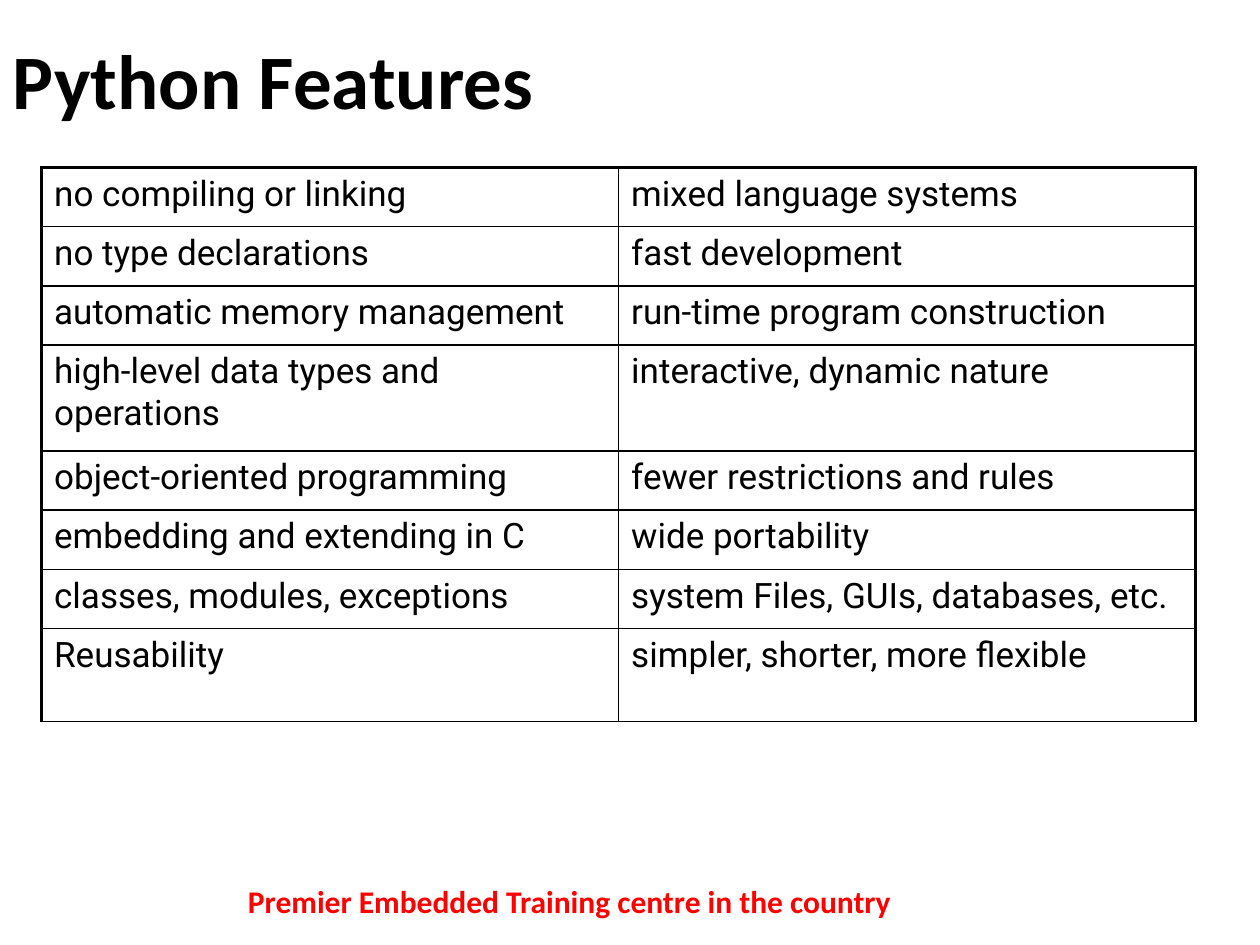
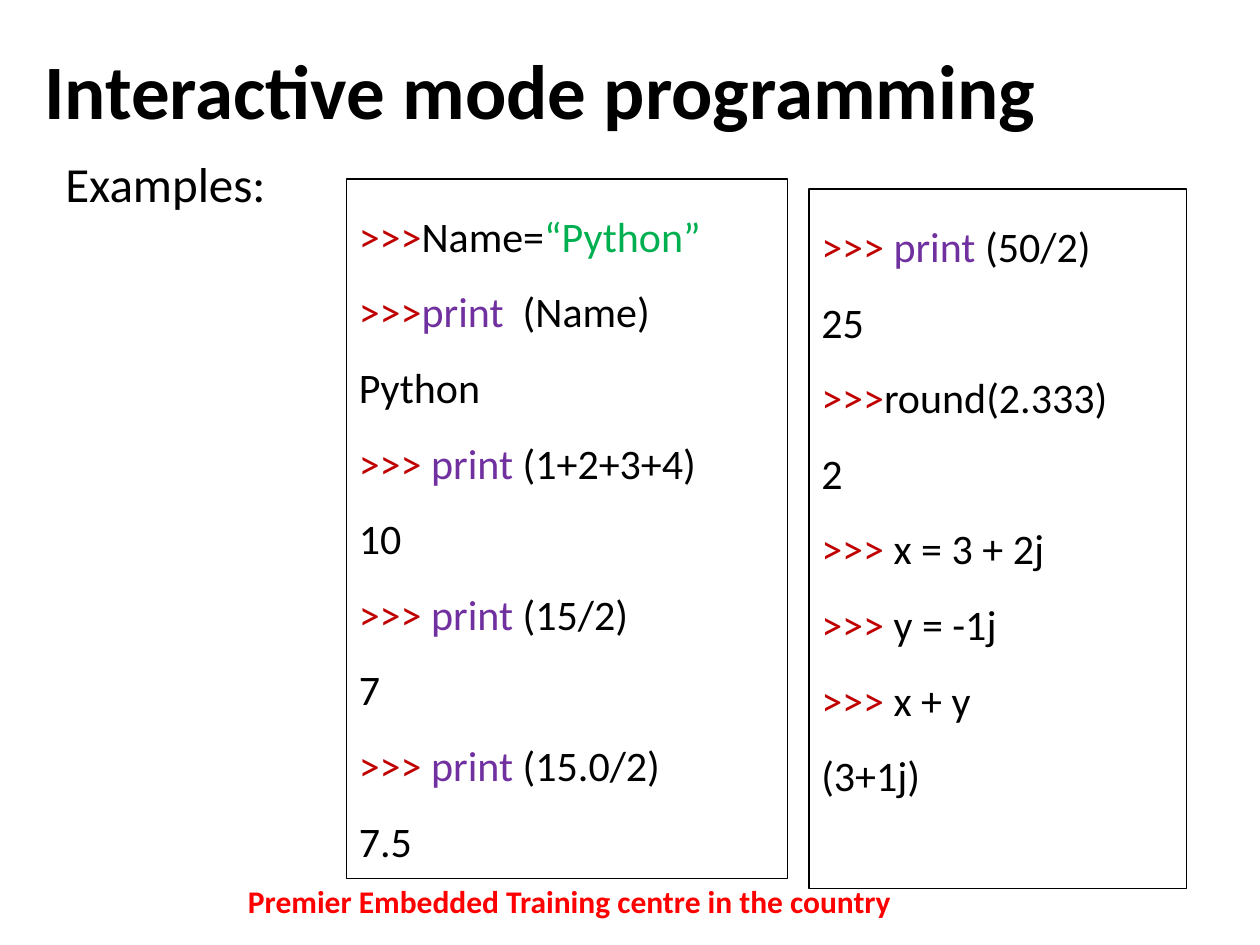
"""Builds two Python training slides: a feature table and interactive examples."""
from lxml.etree import SubElement
from pptx import Presentation
from pptx.dml.color import RGBColor
from pptx.enum.shapes import MSO_SHAPE
from pptx.enum.text import MSO_ANCHOR, PP_ALIGN
from pptx.oxml.ns import qn
from pptx.util import Emu, Pt

COLORS = {"black": "000000", "footer": "FF0000", "prompt": "C00000",
          "keyword": "7030A0", "string": "00B050"}
TOKENS = {">>>": "prompt", "print": "keyword", "“Python”": "string"}
FOOTER = "Premier Embedded Training centre in the country"
THIN, THICK = 1, 2.25

FEATURES = [
    ("no compiling or linking", "mixed language systems"),
    ("no type declarations", "fast development"),
    ("automatic memory management", "run-time program construction"),
    ("high-level data types and operations", "interactive, dynamic nature"),
    ("object-oriented programming", "fewer restrictions and rules"),
    ("embedding and extending in C", "wide portability"),
    ("classes, modules, exceptions", "system Files, GUIs, databases, etc."),
    ("Reusability", "simpler, shorter, more flexible"),
]
PRINT_EXAMPLES = [
    ">>>|Name=|“Python”", ">>>|print|  (Name)", "Python",
    ">>> |print| (1+2+3+4)", "10", ">>> |print| (15/2)", "7",
    ">>> |print| (15.0/2)", "7.5",
]
NUMBER_EXAMPLES = [
    ">>> |print| (50/2)", "25", ">>>|round(2.333)", "2",
    ">>>| x = 3 + 2j", ">>>| y = -1j", ">>>| x + y", "(3+1j)",
]


def px(n):
    return Emu(n * 9144)


def rgb(name):
    return RGBColor.from_string(COLORS[name])


class Deck:
    def __init__(self):
        self.prs = Presentation()
        self.prs.slide_width, self.prs.slide_height = px(1000), px(750)
        self.slide = None

    def new_slide(self, title, x, y):
        self.slide = self.prs.slides.add_slide(self.prs.slide_layouts[5])
        sp = self.slide.shapes.title
        sp.left, sp.top, sp.width, sp.height = map(px, (x, y, 900, 125))
        tf = sp.text_frame
        tf.text = title
        tf.vertical_anchor = MSO_ANCHOR.MIDDLE
        self.style(tf.paragraphs[0], 44, bold=True)

    def style(self, p, size, color="black", bold=False, font="Calibri"):
        p.alignment = PP_ALIGN.LEFT
        for r in p.runs:
            r.font.name, r.font.size, r.font.bold = font, Pt(size), bold
            r.font.color.rgb = rgb(color)

    def text(self, text, box, size, color="black", bold=False):
        tf = self.slide.shapes.add_textbox(*map(px, box)).text_frame
        tf.word_wrap = True
        tf.text = text
        self.style(tf.paragraphs[0], size, color, bold)

    def footer(self):
        self.text(FOOTER, (187, 695, 813, 40), 18, "footer", True)

    def code_box(self, lines, box):
        sp = self.slide.shapes.add_shape(MSO_SHAPE.RECTANGLE, *map(px, box))
        sp.shadow.inherit = False
        sp.fill.background()
        sp.line.color.rgb = rgb("black")
        sp.line.width = Pt(0.75)
        tf = sp.text_frame
        tf.word_wrap = True
        tf.vertical_anchor = MSO_ANCHOR.TOP
        for i, line in enumerate(lines):
            p = tf.add_paragraph() if i else tf.paragraphs[0]
            p.line_spacing = 1.5
            parts = line.split("|")
            for part in parts:
                p.add_run().text = part
            self.style(p, 24)
            for r, part in zip(p.runs, parts):
                r.font.color.rgb = rgb(TOKENS.get(part.strip(), "black"))

    def border(self, cell, widths):
        tc_pr = cell._tc.get_or_add_tcPr()
        for i, (side, width) in enumerate(zip("LRTB", widths)):
            ln = SubElement(tc_pr, qn(f"a:ln{side}"), w=str(Pt(width)))
            fill = SubElement(ln, qn("a:solidFill"))
            SubElement(fill, qn("a:srgbClr"), val=COLORS["black"])
            tc_pr.insert(i, ln)

    def table(self, rows, heights, x, y, col_width):
        cols = len(rows[0])
        frame = self.slide.shapes.add_table(
            len(rows), cols, px(x), px(y), px(col_width * cols), px(sum(heights)))
        table = frame.table
        table.first_row = table.horz_banding = False
        for col in table.columns:
            col.width = px(col_width)
        for i, (values, height) in enumerate(zip(rows, heights)):
            table.rows[i].height = px(height)
            for j, value in enumerate(values):
                cell = table.cell(i, j)
                cell.fill.background()
                cell.text = value
                self.style(cell.text_frame.paragraphs[0], 20, font="Roboto")
                self.border(cell, (THIN if j else THICK,
                                   THICK if j == cols - 1 else THIN,
                                   THIN if i else THICK, THIN))


def main():
    deck = Deck()
    deck.new_slide("Python Features", 0, 0)
    deck.footer()
    heights = [47] * 3 + [84] + [47] * 3 + [74]
    deck.table(FEATURES, heights, 33, 133, 458)

    deck.new_slide("Interactive mode programming", 25, 8)
    deck.text("Examples:", (42, 117, 558, 57), 28)
    deck.code_box(NUMBER_EXAMPLES, (642, 150, 300, 555))
    deck.footer()
    deck.code_box(PRINT_EXAMPLES, (275, 142, 350, 555))
    deck.prs.save("out.pptx")


if __name__ == "__main__":
    main()
